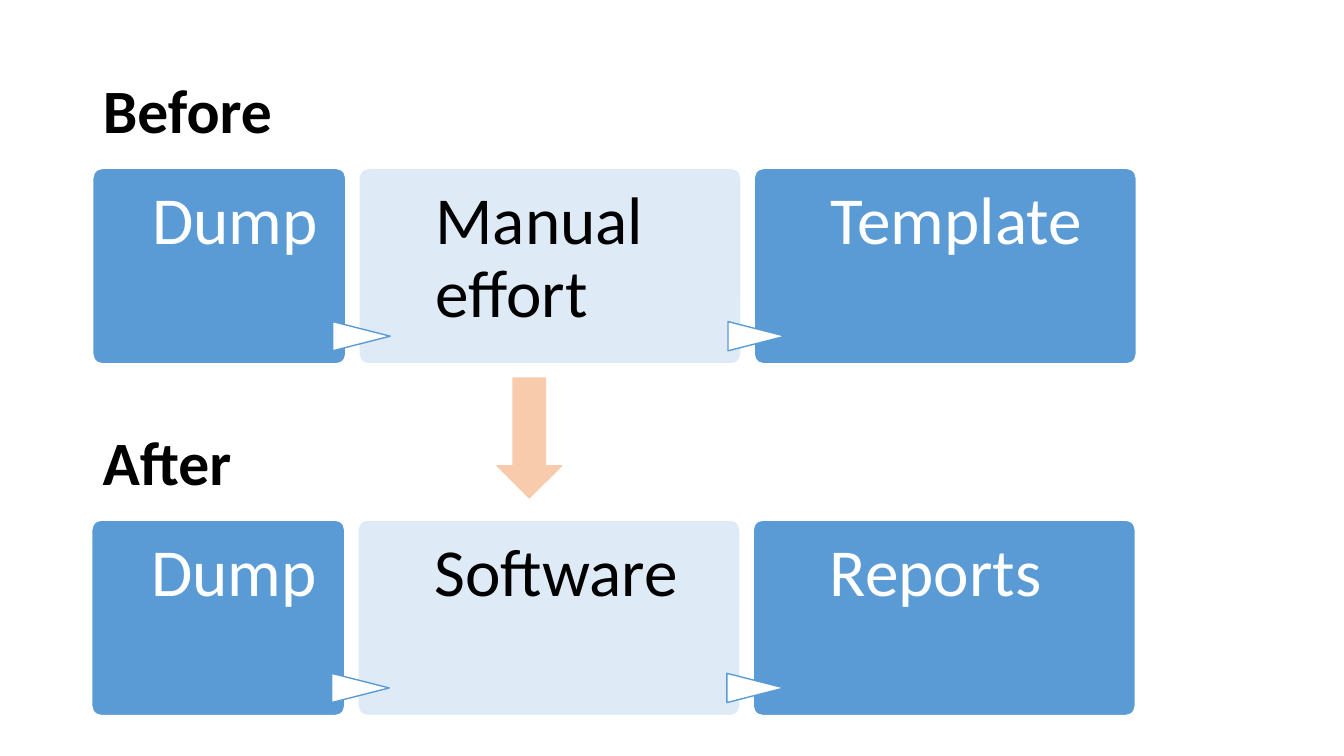
import dataclasses

import pptx
import pptx.dml.color
import pptx.enum.shapes
import pptx.enum.text
import pptx.util

Inches = pptx.util.Inches
RGBColor = pptx.dml.color.RGBColor
Shape = pptx.enum.shapes.MSO_SHAPE
Anchor = pptx.enum.text.MSO_ANCHOR


@dataclasses.dataclass(frozen=True)
class Theme:
    font: str = "Calibri"
    heading_size: int = 44
    step_size: int = 48
    line_width: float = 1
    line_spacing: float = 0.9
    black: RGBColor = RGBColor.from_string("000000")
    white: RGBColor = RGBColor.from_string("FFFFFF")
    blue: RGBColor = RGBColor.from_string("5B9BD5")
    pale_blue: RGBColor = RGBColor.from_string("DEEBF7")
    peach: RGBColor = RGBColor.from_string("F8CBAD")


THEME = Theme()


@dataclasses.dataclass(frozen=True)
class Box:
    left: float
    top: float
    width: float
    height: float

    def lengths(self) -> tuple:
        return tuple(Inches(value) for value in dataclasses.astuple(self))


@dataclasses.dataclass(frozen=True)
class Column:
    """A step's place in its row, measured from the row's left edge."""
    offset: float
    width: float
    text_indent: float
    text_width: float
    fill: RGBColor
    text_color: RGBColor


@dataclasses.dataclass(frozen=True)
class Process:
    left: float
    top: float
    steps: tuple[str, ...]


COLUMNS = (
    Column(0, 2.51, 0.59, 1.87, THEME.blue, THEME.white),
    Column(2.64, 3.79, 0.76, 2.82, THEME.pale_blue, THEME.black),
    Column(6.56, 3.79, 0.76, 2.82, THEME.blue, THEME.white),
)
STEP_HEIGHT = 1.94
BEFORE = Process(0.92, 1.67, ("Dump", "Manual effort", "Template"))
AFTER = Process(0.91, 5.16, ("Dump", "Software", "Reports"))


def add_filled_shape(shapes, kind: Shape, box: Box, fill: RGBColor, line: RGBColor):
    shape = shapes.add_shape(kind, *box.lengths())
    shape.shadow.inherit = False
    shape.fill.solid()
    shape.fill.fore_color.rgb = fill
    shape.line.color.rgb = line
    shape.line.width = pptx.util.Pt(THEME.line_width)
    return shape


def write_text(shape, text: str, size: int, color: RGBColor, bold: bool = False) -> None:
    frame = shape.text_frame
    frame.text = text
    frame.word_wrap = True
    frame.auto_size = pptx.enum.text.MSO_AUTO_SIZE.NONE
    paragraph = frame.paragraphs[0]
    paragraph.alignment = pptx.enum.text.PP_ALIGN.LEFT
    paragraph.line_spacing = THEME.line_spacing
    font = paragraph.runs[0].font
    font.name = THEME.font
    font.size = pptx.util.Pt(size)
    font.bold = bold
    font.color.rgb = color


def format_heading(shape, text: str) -> None:
    write_text(shape, text, THEME.heading_size, THEME.black, bold=True)
    shape.text_frame.vertical_anchor = Anchor.MIDDLE


def add_step_text(shapes, text: str, box: Box, color: RGBColor) -> None:
    shape = shapes.add_textbox(*box.lengths())
    write_text(shape, text, THEME.step_size, color)
    frame = shape.text_frame
    frame.vertical_anchor = Anchor.TOP
    frame.margin_left = frame.margin_right = frame.margin_bottom = 0
    frame.margin_top = Inches(0.18)


def add_process(slide, process: Process) -> None:
    """Draw a row of steps as one group, with a pointer into each later step."""
    shapes = slide.shapes.add_group_shape().shapes
    for index, (column, text) in enumerate(zip(COLUMNS, process.steps)):
        left = process.left + column.offset
        box = Box(left, process.top, column.width, STEP_HEIGHT)
        step = add_filled_shape(shapes, Shape.ROUNDED_RECTANGLE, box,
                                column.fill, THEME.white)
        step.adjustments[0] = 0.05
        if index > 0:
            pointer_box = Box(left - 0.12, process.top + 1.38, 0.29, 0.57)
            pointer = add_filled_shape(shapes, Shape.FLOWCHART_EXTRACT, pointer_box,
                                       THEME.white, THEME.blue)
            pointer.rotation = 90
        text_box = Box(left + column.text_indent, process.top,
                       column.text_width, STEP_HEIGHT)
        add_step_text(shapes, text, text_box, column.text_color)


def main() -> None:
    presentation = pptx.Presentation()
    presentation.slide_width = Inches(13.33)
    presentation.slide_height = Inches(7.5)
    title_only = presentation.slide_layouts[5]
    slide = presentation.slides.add_slide(title_only)

    title = slide.shapes.title
    title.left, title.top, title.width, title.height = Box(0.92, 0.4, 11.5, 1.45).lengths()
    format_heading(title, "Before")
    add_process(slide, BEFORE)
    add_process(slide, AFTER)
    after_heading = slide.shapes.add_textbox(*Box(0.92, 3.89, 11.5, 1.45).lengths())
    format_heading(after_heading, "After")
    add_filled_shape(slide.shapes, Shape.DOWN_ARROW, Box(4.93, 3.75, 0.64, 1.19),
                     THEME.peach, THEME.peach)

    presentation.save("out.pptx")


if __name__ == "__main__":
    main()
